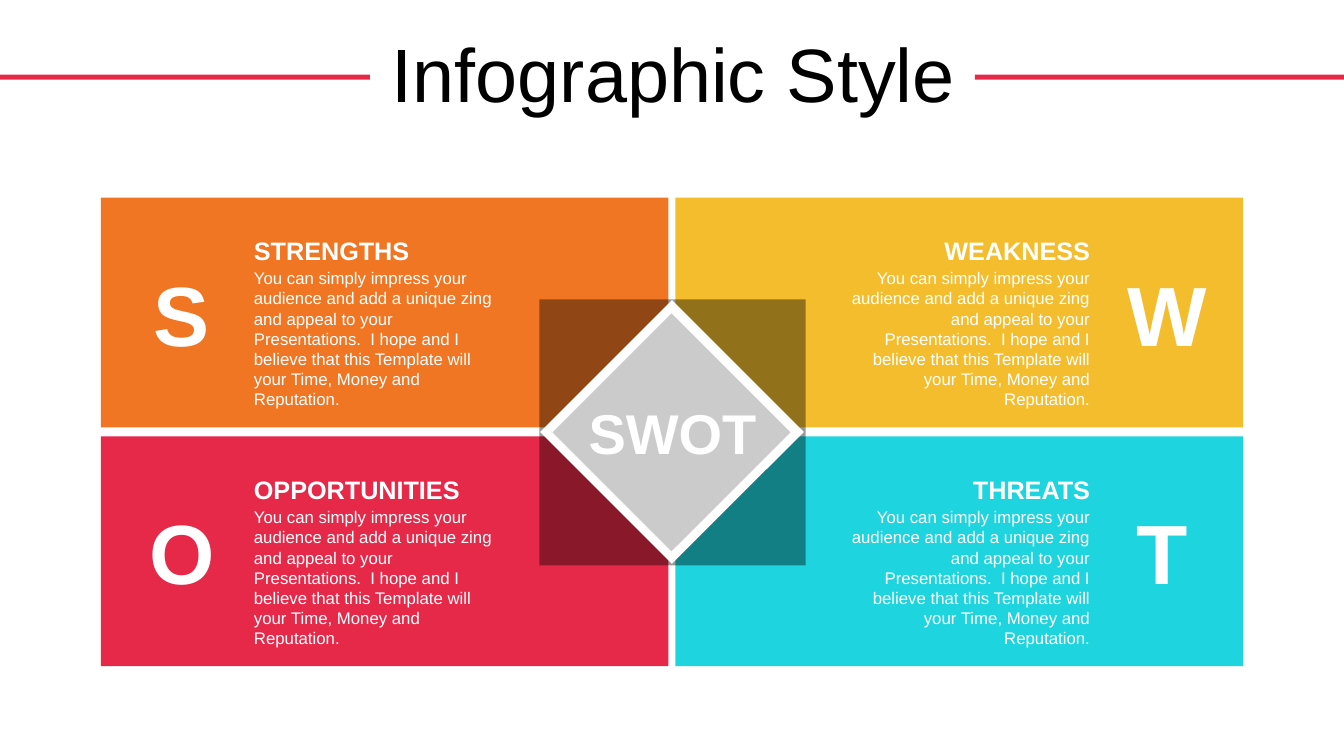
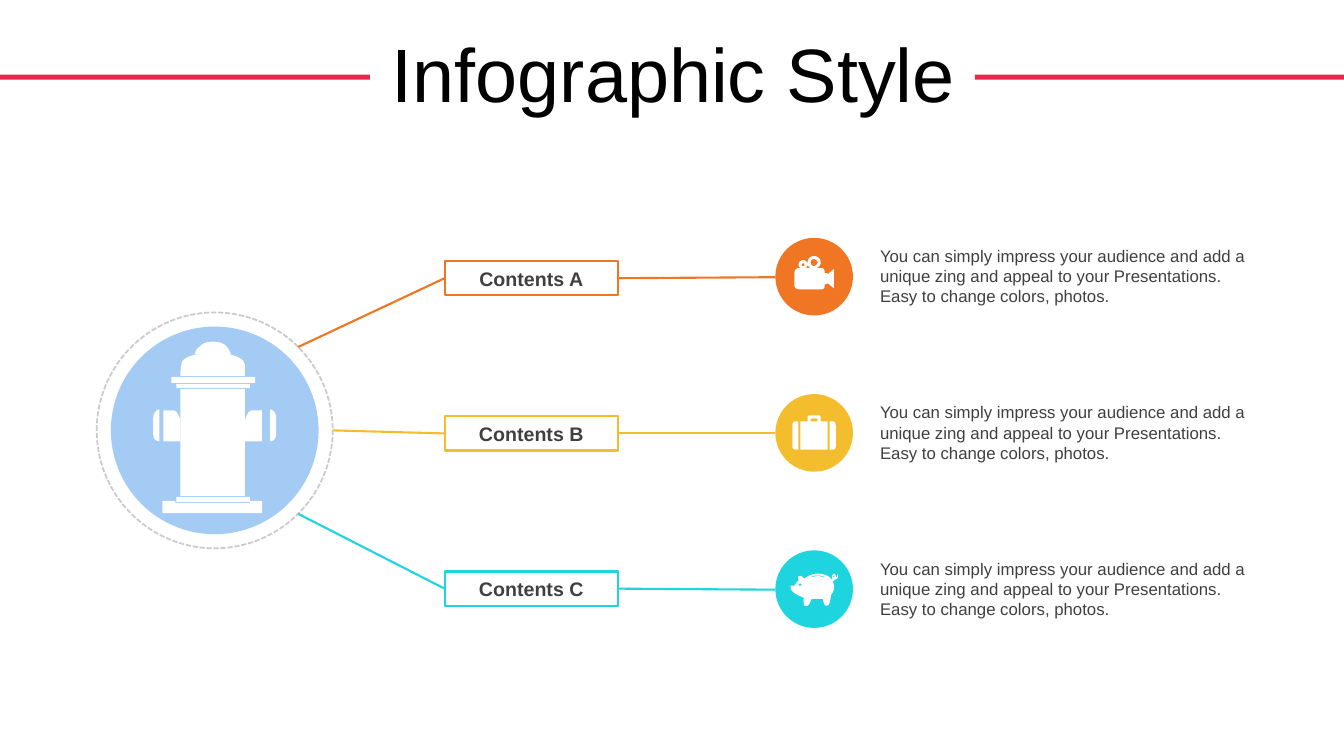
from math import cos, radians, sin

from lxml.etree import SubElement
from pptx import Presentation
from pptx.dml.color import RGBColor
from pptx.enum.dml import MSO_LINE
from pptx.enum.shapes import MSO_CONNECTOR, MSO_SHAPE as SHAPE
from pptx.enum.text import MSO_ANCHOR, MSO_AUTO_SIZE, PP_ALIGN as ALIGN
from pptx.oxml.ns import qn
from pptx.util import Inches, Pt

ORANGE = RGBColor(0xF0, 0x76, 0x24)
RED = RGBColor(0xE6, 0x29, 0x49)
YELLOW = RGBColor(0xF4, 0xBD, 0x2D)
CYAN = RGBColor(0x1E, 0xD4, 0xDE)
SKY = RGBColor(0xA4, 0xCB, 0xF4)
SILVER = RGBColor(0xCB, 0xCB, 0xCB)
CHARCOAL = RGBColor(0x40, 0x40, 0x40)
BLACK = RGBColor(0, 0, 0)
WHITE = RGBColor(0xFF, 0xFF, 0xFF)

FONT = "Arial"
SLIDE_W, SLIDE_H = 13.33, 7.5
TITLE = "Infographic Style"

SWOT_TEXT = (
    "You can simply impress your audience and add a unique zing and appeal to your "
    "Presentations.  I hope and I believe that this Template will your Time, Money "
    "and Reputation."
)
QUADRANTS = [
    ("S", "STRENGTHS", ORANGE),
    ("W", "WEAKNESS", YELLOW),
    ("O", "OPPORTUNITIES", RED),
    ("T", "THREATS", CYAN),
]

CONTENT_TEXT = (
    "You can simply impress your audience and add a unique zing and appeal to your "
    "Presentations. Easy to change colors, photos."
)

# Outlines: a pair is a corner, six numbers are a Bézier curve.
CAMERA = [
    [(7.97, 2.61), (7.96, 2.61, 7.95, 2.62, 7.95, 2.63), (7.95, 2.64, 7.96, 2.64, 7.97, 2.64),
     (7.97, 2.64, 7.98, 2.64, 7.98, 2.63), (7.98, 2.62, 7.97, 2.61, 7.97, 2.61)],
    [(8.07, 2.57), (8.05, 2.57, 8.04, 2.59, 8.04, 2.6), (8.04, 2.62, 8.05, 2.64, 8.07, 2.64),
     (8.09, 2.64, 8.11, 2.62, 8.11, 2.6), (8.11, 2.59, 8.09, 2.57, 8.07, 2.57)],
    [(8.07, 2.54), (8.11, 2.54, 8.14, 2.57, 8.14, 2.6), (8.14, 2.63, 8.12, 2.65, 8.1, 2.66),
     (8.15, 2.66), (8.17, 2.66, 8.18, 2.68, 8.18, 2.7), (8.18, 2.71), (8.2, 2.71),
     (8.21, 2.72), (8.27, 2.67), (8.27, 2.86), (8.21, 2.81), (8.2, 2.82), (8.18, 2.82),
     (8.18, 2.84), (8.18, 2.85, 8.17, 2.87, 8.15, 2.87), (7.92, 2.87),
     (7.9, 2.87, 7.88, 2.85, 7.88, 2.84), (7.88, 2.7), (7.88, 2.68, 7.9, 2.66, 7.92, 2.66),
     (7.95, 2.66), (7.93, 2.66, 7.92, 2.64, 7.92, 2.63), (7.92, 2.6, 7.94, 2.58, 7.97, 2.58),
     (7.99, 2.58, 8.01, 2.6, 8.01, 2.63), (8.01, 2.64, 8, 2.66, 7.98, 2.66), (8.04, 2.66),
     (8.02, 2.65, 8.01, 2.63, 8.01, 2.6), (8.01, 2.57, 8.04, 2.54, 8.07, 2.54)],
]
SUITCASE = [
    [(8.23, 4.18), (8.26, 4.18), (8.28, 4.18, 8.29, 4.2, 8.29, 4.22), (8.29, 4.43),
     (8.29, 4.45, 8.28, 4.46, 8.26, 4.46), (8.23, 4.46)],
    [(7.89, 4.18), (7.92, 4.18), (7.92, 4.46), (7.89, 4.46),
     (7.87, 4.46, 7.86, 4.45, 7.86, 4.43), (7.86, 4.22), (7.86, 4.2, 7.87, 4.18, 7.89, 4.18)],
    [(8.05, 4.15), (8.04, 4.16), (8.04, 4.18), (8.11, 4.18), (8.11, 4.16), (8.1, 4.15)],
    [(8.03, 4.12), (8.12, 4.12), (8.13, 4.12, 8.14, 4.13, 8.14, 4.14), (8.14, 4.18),
     (8.21, 4.18), (8.21, 4.46), (7.94, 4.46), (7.94, 4.18), (8.01, 4.18), (8.01, 4.14),
     (8.01, 4.13, 8.02, 4.12, 8.03, 4.12)],
]
PIG = [
    [(7.93, 5.79), (7.93, 5.79, 7.92, 5.79, 7.92, 5.8), (7.92, 5.81, 7.93, 5.81, 7.93, 5.81),
     (7.94, 5.81, 7.95, 5.81, 7.95, 5.8), (7.95, 5.79, 7.94, 5.79, 7.93, 5.79)],
    [(8.27, 5.71), (8.26, 5.72), (8.27, 5.73), (8.28, 5.72)],
    [(8.11, 5.71), (8.09, 5.71, 8.07, 5.71, 8.05, 5.72), (8.05, 5.73),
     (8.09, 5.71, 8.13, 5.71, 8.17, 5.73), (8.17, 5.72), (8.15, 5.71, 8.13, 5.71, 8.11, 5.71)],
    [(8.11, 5.69), (8.16, 5.69, 8.22, 5.71, 8.24, 5.74), (8.25, 5.75), (8.26, 5.74),
     (8.25, 5.74, 8.25, 5.73, 8.25, 5.72), (8.25, 5.71, 8.26, 5.7, 8.27, 5.69),
     (8.28, 5.69, 8.29, 5.71, 8.29, 5.72), (8.29, 5.73), (8.29, 5.73, 8.3, 5.73, 8.31, 5.69),
     (8.32, 5.73, 8.3, 5.75, 8.28, 5.75), (8.26, 5.77), (8.27, 5.8),
     (8.28, 5.84, 8.26, 5.89, 8.24, 5.9), (8.24, 5.95, 8.23, 5.97, 8.22, 6),
     (8.21, 6.01, 8.18, 6.01, 8.18, 6), (8.17, 5.98, 8.16, 5.96, 8.16, 5.94),
     (8.12, 5.94, 8.08, 5.94, 8.05, 5.94), (8.04, 5.97, 8.03, 5.99, 8.01, 6.01), (7.98, 6.01),
     (7.97, 6.01, 7.97, 5.96, 7.97, 5.93), (7.93, 5.91, 7.83, 5.88, 7.84, 5.81),
     (7.84, 5.81, 7.87, 5.81, 7.88, 5.81), (7.89, 5.79, 7.9, 5.78, 7.92, 5.76),
     (7.92, 5.74, 7.91, 5.72, 7.92, 5.72), (7.95, 5.7, 7.96, 5.73, 7.98, 5.74),
     (8.01, 5.71, 8.07, 5.69, 8.11, 5.69)],
]
CONTENTS = [
    ("Contents A", ORANGE, CAMERA),
    ("Contents B", YELLOW, SUITCASE),
    ("Contents C", CYAN, PIG),
]

HYDRANT_BARS = [
    (1.79, 3.86, 0.64, 1.06),
    (1.7, 3.74, 0.83, 0.06),
    (1.75, 3.81, 0.73, 0.04),
    (1.75, 4.93, 0.73, 0.05),
]
HYDRANT_BASE = [(1.61, 4.97), (1.74, 4.97), (1.74, 4.99), (2.48, 4.99), (2.48, 4.97),
                (2.6, 4.97), (2.6, 5.09), (1.61, 5.09)]
HYDRANT_DOME = [(2.43, 3.62), (2.42, 3.6, 2.42, 3.58, 2.39, 3.56),
                (2.35, 3.53, 2.26, 3.51, 2.26, 3.51), (2.29, 3.51),
                (2.28, 3.48, 2.26, 3.45, 2.24, 3.43), (2.21, 3.4, 2.17, 3.39, 2.11, 3.39),
                (2.06, 3.39, 2.02, 3.4, 1.99, 3.43), (1.96, 3.45, 1.94, 3.48, 1.93, 3.51),
                (1.97, 3.51), (1.97, 3.51, 1.87, 3.53, 1.83, 3.56),
                (1.81, 3.58, 1.8, 3.6, 1.8, 3.62), (1.79, 3.66, 1.79, 3.69, 1.79, 3.73),
                (2.43, 3.73)]
HYDRANT_ARM = [(1.79, 4.38), (1.62, 4.38), (1.62, 4.07), (1.71, 4.07),
               (1.74, 4.07, 1.76, 4.09, 1.77, 4.12), (1.79, 4.15, 1.79, 4.18, 1.79, 4.21)]
HYDRANT_CAP = [(1.58, 4.06), (1.58, 4.38), (1.55, 4.37),
               (1.54, 4.37, 1.52, 4.34, 1.52, 4.31), (1.52, 4.14),
               (1.52, 4.11, 1.54, 4.07, 1.58, 4.06)]
HYDRANT_SIDES = [(HYDRANT_ARM, 2.11), (HYDRANT_CAP, 2.13)]


def paint(shape, fill=None, line=None, width=1.5):
    shape.shadow.inherit = False
    if fill is None:
        shape.fill.background()
    else:
        shape.fill.solid()
        shape.fill.fore_color.rgb = fill
    if line is None:
        shape.line.fill.background()
    else:
        shape.line.color.rgb = line
        shape.line.width = Pt(width)
    return shape


def add_block(shapes, kind, box, fill=None, line=None, width=1.5):
    return paint(shapes.add_shape(kind, *map(Inches, box)), fill, line, width)


def write(frame, text, size, color, bold=False, align=ALIGN.LEFT):
    frame.word_wrap = True
    paragraph = frame.paragraphs[0]
    paragraph.alignment = align
    run = paragraph.add_run()
    run.text = text
    run.font.name, run.font.size, run.font.bold = FONT, Pt(size), bold
    run.font.color.rgb = color
    return paragraph


def add_text(shapes, box, *style, **options):
    write(shapes.add_textbox(*map(Inches, box)).text_frame, *style, **options)


def flatten(contour, steps=6):
    points = [contour[0]]
    for segment in contour[1:]:
        if len(segment) == 2:
            points.append(segment)
            continue
        x0, y0 = points[-1]
        x1, y1, x2, y2, x3, y3 = segment
        for step in range(1, steps + 1):
            t = step / steps
            a, b, c, d = (1 - t) ** 3, 3 * t * (1 - t) ** 2, 3 * t * t * (1 - t), t ** 3
            points.append((a * x0 + b * x1 + c * x2 + d * x3,
                           a * y0 + b * y1 + c * y2 + d * y3))
    return [(Inches(x), Inches(y)) for x, y in points]


def mirror(contour, axis):
    return [tuple(2 * axis - value if i % 2 == 0 else value for i, value in enumerate(segment))
            for segment in contour]


def add_outline(shapes, contours, fill=WHITE):
    first, *others = map(flatten, contours)
    builder = shapes.build_freeform(*first[0])
    builder.add_line_segments(first[1:], close=True)
    for points in others:
        builder.move_to(*points[0])
        builder.add_line_segments(points[1:], close=True)
    paint(builder.convert_to_shape(), fill)


def add_link(shapes, box, side, end, color):
    link = shapes.add_connector(MSO_CONNECTOR.STRAIGHT, 0, 0, *map(Inches, end))
    link.begin_connect(box, side)
    link.line.color.rgb = color
    link.line.width = Pt(1.5)
    SubElement(link._element.spPr, qn("a:effectLst"))


def add_title_bands(layout, slide):
    for left in (0, 9.67):
        band = add_block(slide.shapes, SHAPE.RECTANGLE, (left, 0.74, 3.67, 0.05), RED)
        layout.shapes._spTree.append(band._element)


def add_titled_slide(deck, layout):
    slide = deck.slides.add_slide(layout)
    title = slide.shapes.title
    title.left, title.top, title.width, title.height = map(Inches, (0.35, 0.31, 12.66, 0.92))
    title.text_frame.auto_size = MSO_AUTO_SIZE.NONE
    title.text_frame.vertical_anchor = MSO_ANCHOR.MIDDLE
    heading = write(title.text_frame, TITLE, 54, BLACK, align=ALIGN.CENTER)
    heading.line_spacing = 0.9
    heading.space_before = Pt(10)
    return slide


def draw_swot(shapes):
    def place(column, left, top, width, height):
        return (SLIDE_W - left - width if column else left), top, width, height

    tops = [1.96, 4.33]
    for i, (_, _, color) in enumerate(QUADRANTS):
        row, column = divmod(i, 2)
        add_block(shapes, SHAPE.RECTANGLE, place(column, 1, tops[row], 5.63, 2.28), color)

    emblem = shapes.add_group_shape().shapes
    shade = add_block(emblem, SHAPE.RECTANGLE, (5.35, 2.97, 2.64, 2.64), BLACK)
    shade_color = shade._element.spPr.find(qn("a:solidFill"))[0]
    SubElement(shade_color, qn("a:alpha"), val="40000")
    add_block(emblem, SHAPE.RECTANGLE, (5.74, 3.36, 1.85, 1.85), WHITE).rotation = 315
    add_block(emblem, SHAPE.DIAMOND, (5.48, 3.11, 2.36, 2.36), SILVER)
    add_text(shapes, (5.64, 3.9, 2.06, 0.77), "SWOT", 40, WHITE, bold=True, align=ALIGN.CENTER)

    for i, (letter, heading, _) in enumerate(QUADRANTS):
        row, column = divmod(i, 2)
        top = tops[row]
        align = ALIGN.RIGHT if column else ALIGN.LEFT
        add_text(shapes, place(column, 2.42, top + 0.33, 2.68, 0.3), heading, 18, WHITE,
                 bold=True, align=align)
        add_text(shapes, place(column, 2.42, top + 0.65, 2.68, 1.31), SWOT_TEXT, 12, WHITE,
                 align=align)
        add_text(shapes, place(column, 1.36, top + 0.59, 0.89, 1.11), letter, 60, WHITE,
                 bold=True, align=ALIGN.CENTER)


def draw_contents(shapes):
    hub_x, hub_y, hub_radius = 2.13, 4.27, 1.17
    hub = shapes.add_group_shape().shapes
    for radius, style in ((1.03, (SKY,)), (hub_radius, (None, SILVER, 1.25))):
        ring = add_block(hub, SHAPE.OVAL,
                         (hub_x - radius, hub_y - radius, 2 * radius, 2 * radius), *style)
    ring.line.dash_style = MSO_LINE.SQUARE_DOT

    for row, (label, color, icon) in enumerate(CONTENTS):
        top = 2.36 + 1.55 * row
        add_block(shapes, SHAPE.OVAL, (7.69, top, 0.77, 0.77), color)
        add_text(shapes, (8.63, top + 0.03, 3.97, 0.71), CONTENT_TEXT, 12, CHARCOAL)
        box = add_block(shapes, SHAPE.RECTANGLE, (4.41, 2.59 + 1.54 * row, 1.72, 0.34),
                        line=color)
        write(box.text_frame, label, 14, CHARCOAL, bold=True, align=ALIGN.CENTER)
        angle = radians(45 * (row - 1))
        add_link(shapes, box, 3, (7.69, top + 0.39), color)
        add_link(shapes, box, 1, (hub_x + hub_radius * cos(angle),
                                  hub_y + hub_radius * sin(angle)), color)
        add_outline(shapes, icon)

    hydrant = shapes.add_group_shape().shapes
    for bar in HYDRANT_BARS:
        add_block(hydrant, SHAPE.RECTANGLE, bar, WHITE)
    for part in (HYDRANT_BASE, HYDRANT_DOME):
        add_outline(hydrant, [part])
    for part, axis in HYDRANT_SIDES:
        add_outline(hydrant, [part])
        add_outline(hydrant, [mirror(part, axis)])


def main():
    deck = Presentation()
    deck.slide_width, deck.slide_height = Inches(SLIDE_W), Inches(SLIDE_H)
    layout = deck.slide_layouts[5]
    swot, contents = (add_titled_slide(deck, layout) for _ in range(2))
    add_title_bands(layout, swot)
    draw_swot(swot.shapes)
    draw_contents(contents.shapes)
    deck.save("out.pptx")


if __name__ == "__main__":
    main()
